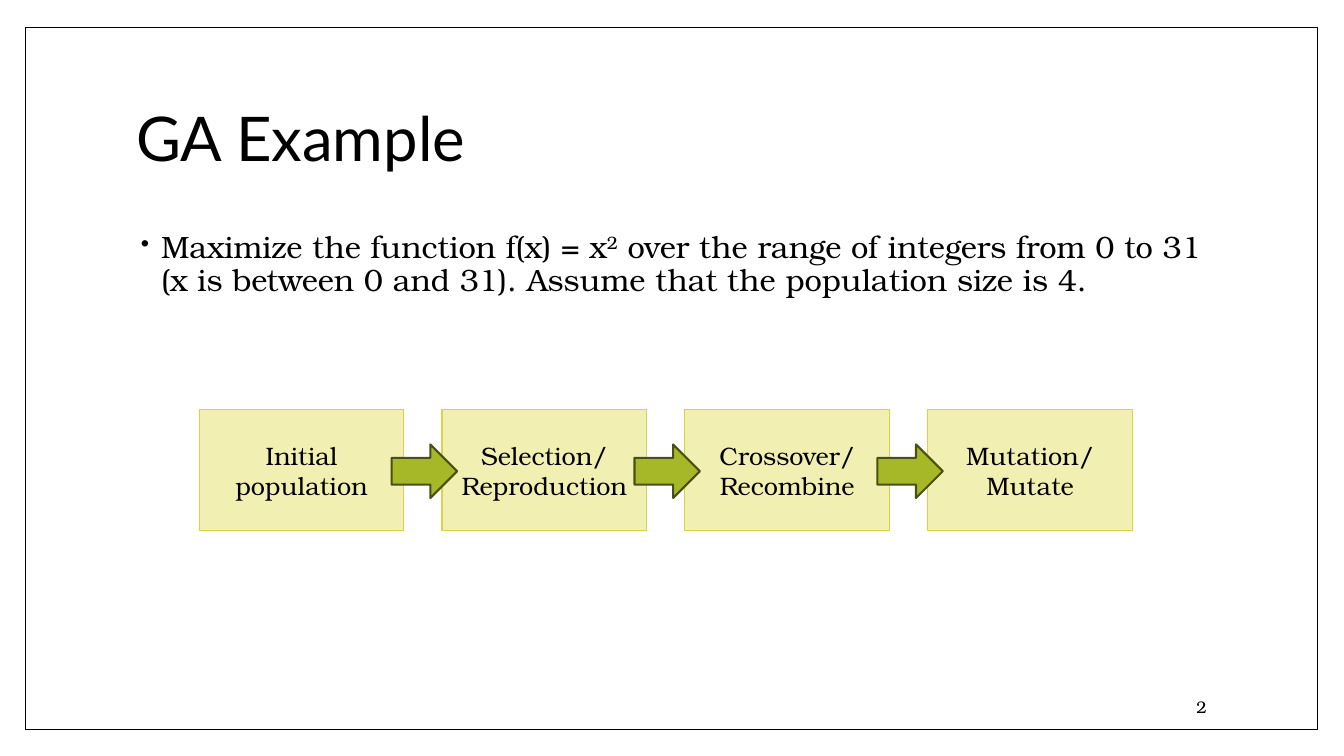
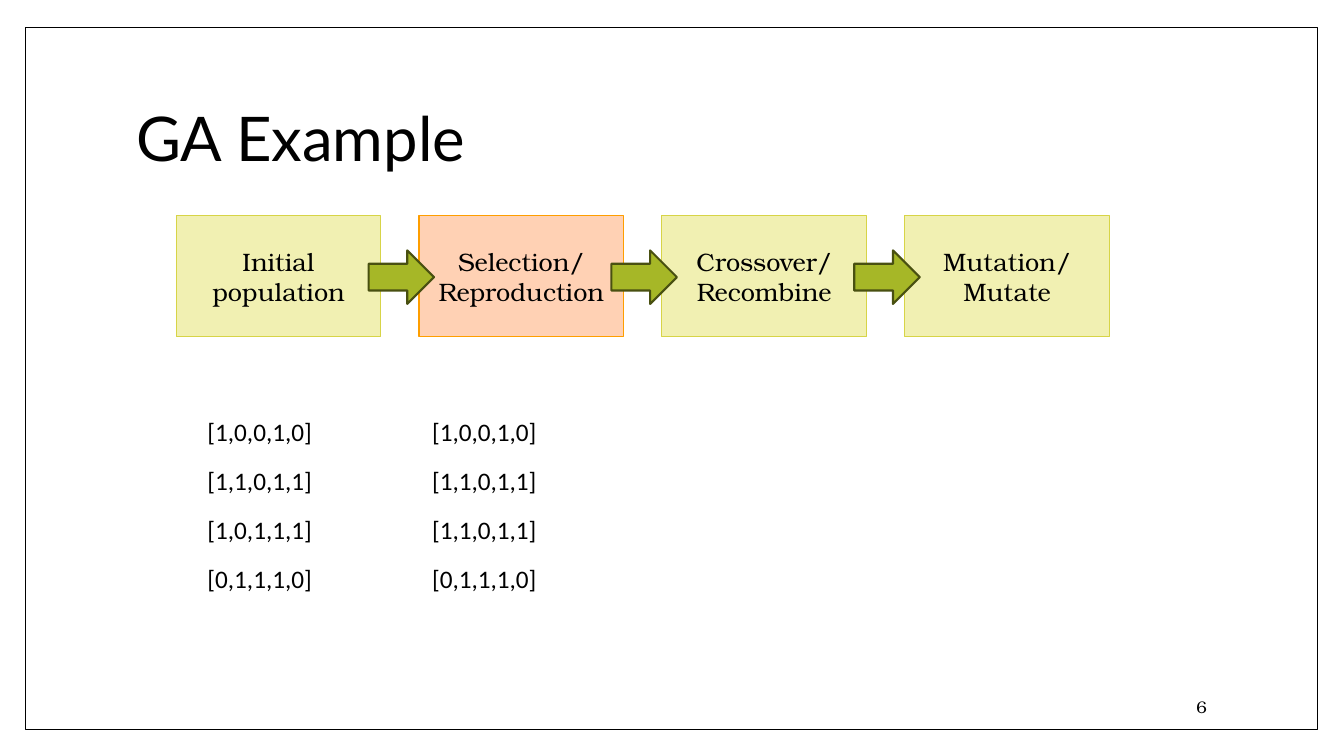
"""Builds two slides on a genetic algorithm example."""
from dataclasses import dataclass

import lxml.etree
import pptx
import pptx.chart.data
import pptx.dml.color
import pptx.enum.shapes
import pptx.enum.text
import pptx.oxml.ns
import pptx.util

Cm = pptx.util.Cm
Pt = pptx.util.Pt
SHAPE = pptx.enum.shapes.MSO_SHAPE
ALIGN = pptx.enum.text.PP_ALIGN
ANCHOR = pptx.enum.text.MSO_ANCHOR


@dataclass(frozen=True)
class Theme:
    """Colours, fonts and type sizes of the deck."""

    ink: str = "000000"
    paper: str = "FFFFFF"
    step: tuple = ("F1F0B2", "D7D447")
    active: tuple = ("FFD1B4", "FE9E00")
    arrow: tuple = ("A6B727", "495011")
    title_font: str = "Lato"
    body_font: str = "TeX Gyre Bonum"
    list_font: str = "Calibri"
    title_size: int = 44
    body_size: int = 22
    label_size: int = 18
    number_size: int = 12


THEME = Theme()
STEPS = ("Initial population", "Selection/\nReproduction",
         "Crossover/ Recombine", "Mutation/ Mutate")
STEP_PITCH = 6.12
LIST_PITCH = 5.66


def rgb(value):
    """Return a colour object for a hex value."""
    return pptx.dml.color.RGBColor.from_string(value)


def add_shape(slide, kind, box, colours, weight):
    """Add a filled and outlined preset shape."""
    s = slide.shapes.add_shape(kind, *map(Cm, box))
    s.shadow.inherit = False
    fill, line = colours
    s.fill.solid()
    s.fill.fore_color.rgb = rgb(fill)
    s.line.color.rgb = rgb(line)
    s.line.width = Pt(weight)
    return s


def format_text(tf, font, size, align=ALIGN.LEFT, anchor=ANCHOR.MIDDLE):
    """Style all the text of a frame."""
    tf.word_wrap = True
    tf.vertical_anchor = anchor
    for p in tf.paragraphs:
        p.alignment = align
        for r in p.runs:
            r.font.name = font
            r.font.size = Pt(size)
            r.font.color.rgb = rgb(THEME.ink)


def add_text(slide, box, text, font, size, **layout):
    """Add a styled text box and return its frame."""
    tf = slide.shapes.add_textbox(*map(Cm, box)).text_frame
    tf.text = text
    format_text(tf, font, size, **layout)
    return tf


def set_bullet(p):
    """Give a paragraph a hanging round bullet."""
    pPr = p._p.get_or_add_pPr()
    pPr.set("marL", str(Cm(0.63)))
    pPr.set("indent", str(Cm(-0.51)))
    for tag, name, value in (("a:buSzPct", "val", "80000"), ("a:buChar", "char", "•")):
        lxml.etree.SubElement(pPr, pptx.oxml.ns.qn(tag)).set(name, value)


def add_bullet(slide, parts):
    """Add the body bullet, with every second part raised."""
    tf = slide.shapes.add_textbox(Cm(3.18), Cm(5.72), Cm(27.43), Cm(11.23)).text_frame
    p = tf.paragraphs[0]
    for i, part in enumerate(parts):
        r = p.add_run()
        r.text = part
        if i % 2:
            r.font._element.set("baseline", "30000")
    format_text(tf, THEME.body_font, THEME.body_size, anchor=ANCHOR.TOP)
    p.line_spacing = 0.9
    p.space_before = Pt(14)
    set_bullet(p)


def add_flow(slide, left, top, active=None):
    """Add the row of steps joined by arrows."""
    for i, step in enumerate(STEPS):
        colours = THEME.active if step == active else THEME.step
        box = (left + i * STEP_PITCH, top, 5.16, 3.05)
        tf = add_shape(slide, SHAPE.RECTANGLE, box, colours, 0.79).text_frame
        tf.text = step
        format_text(tf, THEME.body_font, THEME.label_size, ALIGN.CENTER)
    for i in range(len(STEPS) - 1):
        box = (left + 4.85 + i * STEP_PITCH, top + 0.87, 1.65, 1.35)
        add_shape(slide, SHAPE.RIGHT_ARROW, box, THEME.arrow, 1.5)


def add_populations(slide, populations):
    """Add one column of chromosomes for each population."""
    for i, rows in enumerate(populations):
        tf = add_text(slide, (4.98 + i * LIST_PITCH, 10.26, 4.57, 4.8), "\n".join(rows),
                      THEME.list_font, THEME.label_size, anchor=ANCHOR.TOP)
        for p in tf.paragraphs:
            p.line_spacing = 1.15
            p.space_after = Pt(10)


def add_slide(prs, number):
    """Add a slide with its frame, title and number."""
    slide = prs.slides.add_slide(prs.slide_layouts[6])
    add_shape(slide, SHAPE.RECTANGLE, (0.64, 0.69, 32.56, 17.7),
              (THEME.paper, THEME.ink), 1)
    tf = add_text(slide, (3.18, 1.7, 27.43, 3.76), "GA Example",
                  THEME.title_font, THEME.title_size)
    tf.paragraphs[0].line_spacing = 0.9
    add_text(slide, (25.91, 17.3, 4.75, 1.02), str(number),
             THEME.body_font, THEME.number_size, align=ALIGN.RIGHT)
    return slide


def main():
    """Build and save the deck."""
    prs = pptx.Presentation()
    prs.slide_width, prs.slide_height = Cm(33.87), Cm(19.05)

    slide = add_slide(prs, 2)
    add_bullet(slide, (
        "Maximize the function f(x) = x", "2",
        " over the range of integers from 0 to 31 (x is between 0 and 31). "
        "Assume that the population size is 4."))
    add_flow(slide, 5.02, 10.33)

    slide = add_slide(prs, 6)
    add_flow(slide, 4.44, 5.44, active=STEPS[1])
    add_populations(slide, (
        ("[1,0,0,1,0]", "[1,1,0,1,1]", "[1,0,1,1,1]", "[0,1,1,1,0]"),
        ("[1,0,0,1,0]", "[1,1,0,1,1]", "[1,1,0,1,1]", "[0,1,1,1,0]")))

    prs.save("out.pptx")


if __name__ == "__main__":
    main()
